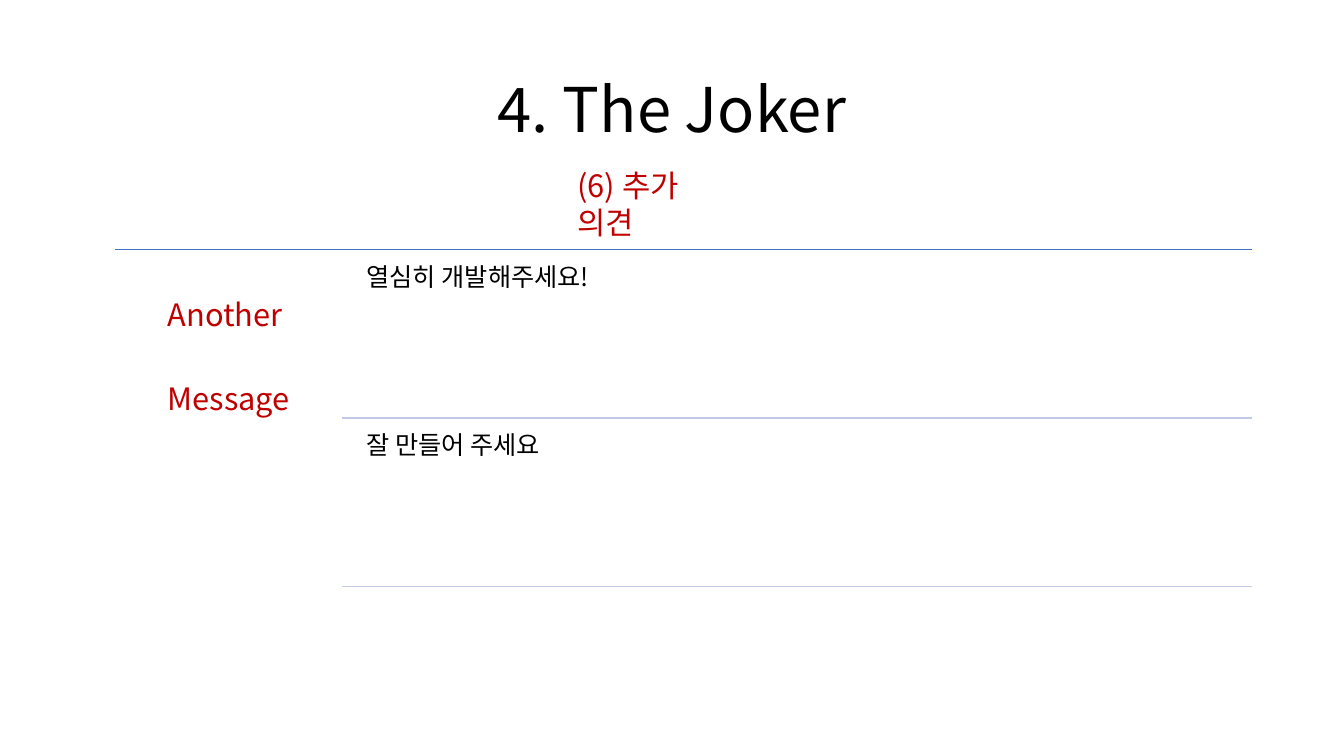
import pptx
import pptx.dml.color
import pptx.enum.shapes
import pptx.enum.text
import pptx.oxml.ns
import pptx.util
from dataclasses import dataclass
from lxml import etree

Cm = pptx.util.Cm
Pt = pptx.util.Pt
Align = pptx.enum.text.PP_ALIGN
Anchor = pptx.enum.text.MSO_ANCHOR
Fit = pptx.enum.text.MSO_AUTO_SIZE


@dataclass(frozen=True)
class Theme:
    face: str = "Noto Sans CJK KR"
    black: str = "000000"
    red: str = "C00000"
    blue: str = "4472C4"
    pale: str = "C1C9E4"
    head: int = 44
    label: int = 22
    body: int = 18


THEME = Theme()


def color(code):
    return pptx.dml.color.RGBColor.from_string(code)


def apply(target, values):
    for name, value in values.items():
        setattr(target, name, value)


def write(shape, lines, size, code, frame, para):
    text = shape.text_frame
    apply(text, {"word_wrap": True, "auto_size": Fit.NONE, **frame})
    text.text = "\n".join(lines)
    for item in text.paragraphs:
        apply(item, para)
        for run in item.runs:
            apply(run.font, {"name": THEME.face, "size": Pt(size)})
            run.font.color.rgb = color(code)
            east = etree.SubElement(run.font._element, pptx.oxml.ns.qn("a:ea"))
            east.set("typeface", THEME.face)


def pads(size):
    sides = ("left", "top", "right", "bottom")
    return {f"margin_{side}": Cm(size) for side in sides}


def box(slide, left, top, width, height):
    return slide.shapes.add_textbox(Cm(left), Cm(top), Cm(width), Cm(height))


def rule(slide, left, right, top, code):
    line = slide.shapes.add_connector(
        pptx.enum.shapes.MSO_CONNECTOR.STRAIGHT,
        Cm(left), Cm(top), Cm(right), Cm(top))
    line.line.color.rgb = color(code)
    line.line.width = Pt(1)
    etree.SubElement(line._element.spPr, pptx.oxml.ns.qn("a:effectLst"))


def title(slide, left, top, width, height):
    head = slide.shapes.title
    apply(head, {"left": Cm(left), "top": Cm(top),
                 "width": Cm(width), "height": Cm(height)})
    write(head, ["4. The Joker"], THEME.head, THEME.black,
          {"vertical_anchor": Anchor.MIDDLE},
          {"alignment": Align.CENTER, "line_spacing": 0.9})


def topic(slide, left, top, width, height):
    write(box(slide, left, top, width, height), ["(6) 추가 의견"],
          THEME.label, THEME.red, {"auto_size": Fit.SHAPE_TO_FIT_TEXT}, {})


def notes(slide, left, top, width, height):
    right = left + width
    side = width / 5
    gap = 0.2
    inset = 0.43
    step = height / 2
    rule(slide, left, right, top, THEME.blue)
    write(box(slide, left, top, side, height), ["Another ", "Message"],
          THEME.label, THEME.red, pads(0.23),
          {"alignment": Align.CENTER, "line_spacing": 2.0,
           "space_after": Pt(7.7)})
    start = left + side
    for row, text in enumerate(["열심히 개발해주세요!", "잘 만들어 주세요"]):
        edge = top + row * step
        write(box(slide, start + inset, edge + gap,
                  right - start - inset, step - gap),
              [text], THEME.body, THEME.black, pads(0.18),
              {"line_spacing": 0.9, "space_after": Pt(6.3)})
        rule(slide, start, right, edge + step, THEME.pale)


def main():
    deck = pptx.Presentation()
    apply(deck, {"slide_width": Cm(33.87), "slide_height": Cm(19.05)})
    slide = deck.slides.add_slide(deck.slide_layouts.get_by_name("Title Only"))
    title(slide, 2.33, 1, 29.21, 3.68)
    notes(slide, 2.9, 6.28, 28.65, 8.5)
    topic(slide, 14.3, 4.07, 4.62, 1.2)
    deck.save("out.pptx")


if __name__ == "__main__":
    main()
